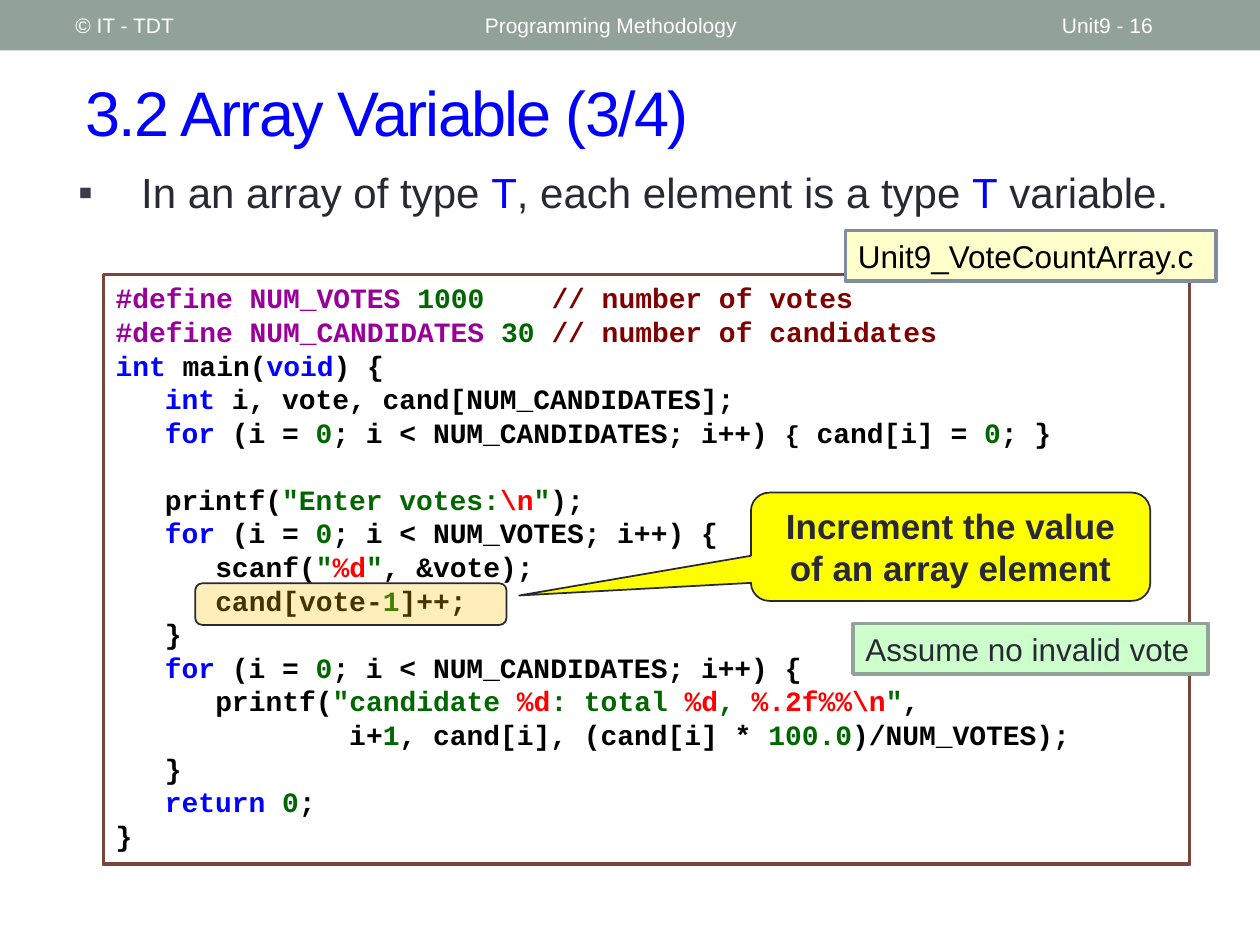
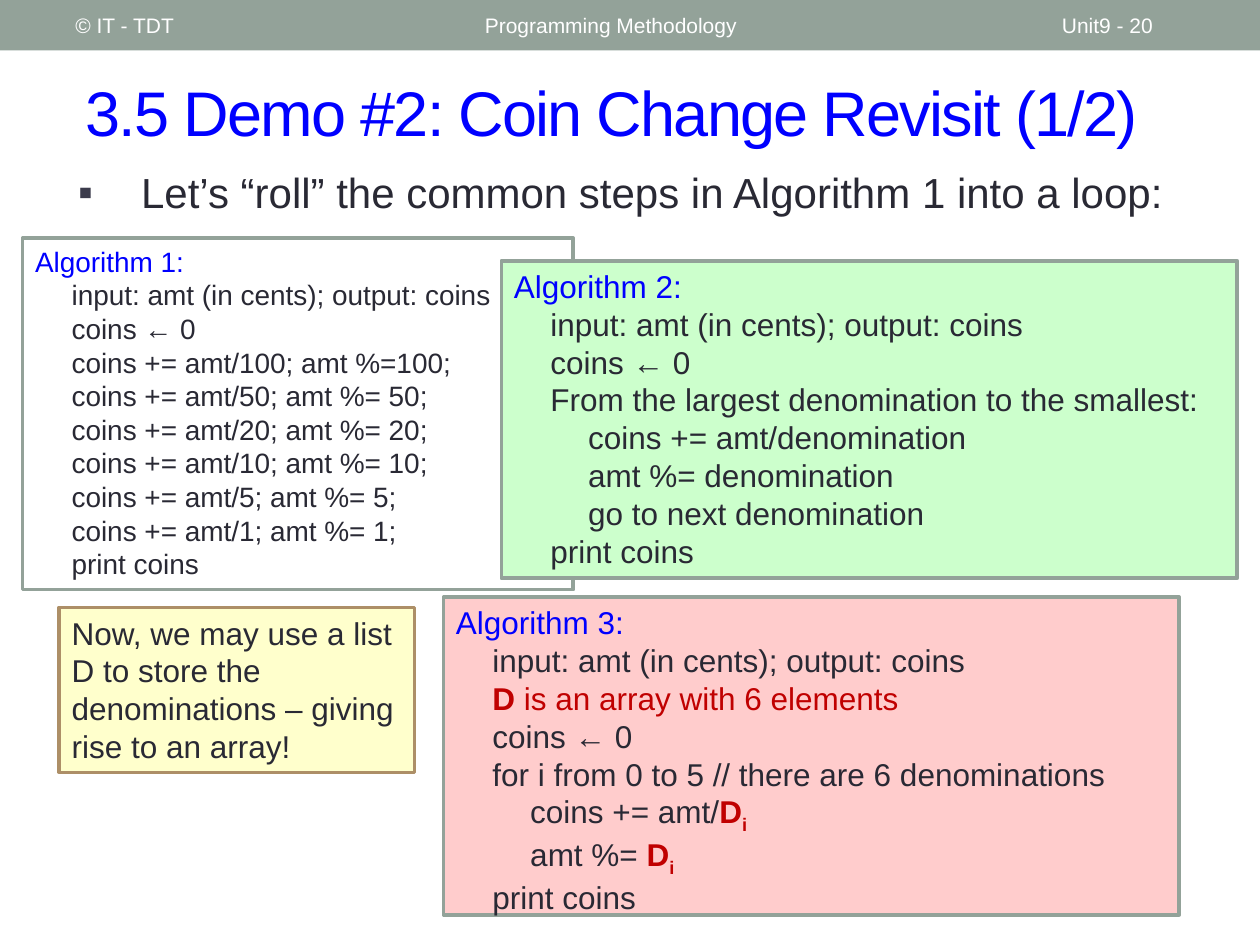
from lxml import etree
from pptx import Presentation
from pptx.dml.color import RGBColor
from pptx.enum.shapes import MSO_SHAPE as Shape
from pptx.enum.text import MSO_ANCHOR as Anchor, MSO_AUTO_SIZE as AutoSize, PP_ALIGN as Align
from pptx.oxml.ns import qn
from pptx.util import Inches, Pt

INK, BLUE, WHITE, BLACK = "292934", "0000FF", "FFFFFF", "000000"
SAGE, YELLOW, GREEN, PINK = "93A299", "FFFFCC", "CCFFCC", "FFCCCC"
NUMBER, ESCAPE, MACRO, COMMENT, ACCENT = "006600", "FF0000", "990099", "800000", "C00000"
CODE_TABS = [0.39, 0.79, 1.18, 1.67]
STEP_TABS = [0.29, 0.59]
CODE_PITCH = 19.2

HEADER = [
    ("© IT - TDT", 0.5, 3.17),
    ("Programming Methodology", 3.75, 4.5),
    ("Unit9 - {}", 8.33, 1.17),
]

ARRAY_POINT = ["In an array of type ", ("T", BLUE), ", each element is a type ", ("T", BLUE), " variable."]
ROLL_POINT = ["Let’s “roll” the common steps in Algorithm 1 into a loop:"]


def loop(limit, *rest):
    return ["\t", ("for", BLUE), " (i = ", ("0", NUMBER), f"; i < {limit}; i++) ", *rest]


VOTE_SETUP = [
    [("#define NUM_VOTES ", MACRO), ("1000    ", NUMBER), ("// number of votes", COMMENT)],
    [("#define NUM_CANDIDATES ", MACRO), ("30 ", NUMBER), ("// number of candidates", COMMENT)],
    [("int", BLUE), " main(", ("void", BLUE), ") {"],
    ["\t", ("int ", BLUE), "i, vote, cand[NUM_CANDIDATES];"],
    loop("NUM_CANDIDATES", ("{", BLACK, {"size": 14}), " cand[i] = ", ("0", NUMBER), "; }"),
]
VOTE_COUNT = [
    ["\tprintf(", ('"Enter votes:', NUMBER), ("\\n", ESCAPE), ('"', NUMBER), ");"],
    loop("NUM_VOTES", "{"),
    ["\t\tscanf(", ('"', NUMBER), ("%d", ESCAPE), ('"', NUMBER), ", &vote);"],
    ["\t\tcand[vote-", ("1", NUMBER), "]++;"],
    ["\t}"],
    loop("NUM_CANDIDATES", "{"),
    ["\t\tprintf(", ('"candidate ', NUMBER), ("%d", ESCAPE), (": total ", NUMBER), ("%d", ESCAPE),
     (", ", NUMBER), ("%.2f%%\\n", ESCAPE), ('"', NUMBER), ","],
    ["\t\t        i+", ("1", NUMBER), ", cand[i], (cand[i] * ", ("100.0", NUMBER), ")/NUM_VOTES);"],
    ["\t}"],
    ["\t", ("return ", BLUE), ("0", NUMBER), ";"],
    ["}"],
]

INPUT_STEP = ["\tinput: amt (in cents); output: coins"]
START_STEP = ["\tcoins ← 0"]
PRINT_STEP = ["\tprint coins"]
ELEMENT = [("D", ACCENT, {"bold": True}), ("i", ACCENT, {"bold": True, "baseline": -25})]

ALGORITHM_1 = [
    [("Algorithm 1:", BLUE)],
    INPUT_STEP,
    START_STEP,
    ["\tcoins += amt/100; amt %=100;"],
    *[[f"\tcoins += amt/{coin}; amt %= {coin};"] for coin in (50, 20, 10, 5, 1)],
    PRINT_STEP,
]
ALGORITHM_2 = [
    [("Algorithm 2:", BLUE)],
    INPUT_STEP,
    START_STEP,
    ["\tFrom the largest denomination to the smallest:"],
    ["\t\tcoins += amt/denomination"],
    ["\t\tamt %= denomination"],
    ["\t\tgo to next denomination"],
    PRINT_STEP,
]
ALGORITHM_3 = [
    [("Algorithm 3:", BLUE)],
    INPUT_STEP,
    ["\t", ("D", ACCENT, {"bold": True}), (" is an array with 6 elements", ACCENT)],
    START_STEP,
    ["\tfor i from 0 to 5 // there are 6 denominations"],
    ["\t\tcoins += amt/", *ELEMENT],
    ["\t\tamt %= ", *ELEMENT],
    PRINT_STEP,
]
LIST_NOTE = [["Now, we may use a list D to store the denominations – giving rise to an array!"]]


def color(value):
    return RGBColor.from_string(value)


def add_element(parent, tag, **attributes):
    element = etree.SubElement(parent, qn(tag))
    for name, value in attributes.items():
        element.set(name, str(value))
    return element


def write_run(paragraph, text, ink, font="Arial", size=18, bold=False, baseline=0, spacing=0):
    run = paragraph.add_run()
    run.text = text
    run.font.name = font
    run.font.size = Pt(size)
    run.font.bold = bold
    run.font.color.rgb = color(ink)
    properties = run.font._element
    if baseline:
        properties.set("baseline", str(baseline * 1000))
    if spacing:
        properties.set("spc", str(spacing * 100))


def write(shape, lines, ink=INK, align=Align.LEFT, anchor=Anchor.TOP, tabs=(), bullet=None,
          gaps=None, **font):
    frame = shape.text_frame
    frame.word_wrap = True
    frame.auto_size = AutoSize.NONE
    frame.vertical_anchor = anchor
    for index, line in enumerate(lines):
        paragraph = frame.paragraphs[0] if index == 0 else frame.add_paragraph()
        properties = paragraph._p.get_or_add_pPr()
        if bullet:
            properties.set("marL", str(Inches(0.5)))
            properties.set("indent", str(Inches(-0.5)))
            add_element(add_element(properties, "a:buClr"), "a:srgbClr", val="3B3B4B")
            add_element(properties, "a:buFont", typeface="Arial")
            add_element(properties, "a:buChar", char=bullet)
        if tabs:
            stops = add_element(properties, "a:tabLst")
            for stop in tabs:
                add_element(stops, "a:tab", pos=Inches(stop), algn="l")
        paragraph.alignment = align
        paragraph.space_before = Pt((gaps or {}).get(index, 0))
        for item in line:
            text, run_ink, extra = (item, ink, {}) if isinstance(item, str) else (*item, {})[:3]
            write_run(paragraph, text, run_ink, **{**font, **extra})


def place(shape, *box):
    shape.left, shape.top, shape.width, shape.height = map(Inches, box)


def add_box(slide, box, fill, line=None, width=2.08, kind=Shape.RECTANGLE):
    shape = slide.shapes.add_shape(kind, *map(Inches, box))
    shape.shadow.inherit = False
    shape.fill.solid()
    shape.fill.fore_color.rgb = color(fill)
    if line:
        shape.line.color.rgb = color(line)
        shape.line.width = Pt(width)
    else:
        shape.line.fill.background()
    return shape


def add_slide(presentation, number, title, point):
    slide = presentation.slides.add_slide(presentation.slide_layouts[1])
    add_box(slide, (0, 0, 10, 0.4), SAGE)
    for text, left, width in HEADER:
        label = slide.shapes.add_textbox(*map(Inches, (left, 0.02, width, 0.36)))
        write(label, [[text.format(number)]], ink=WHITE, size=12, anchor=Anchor.MIDDLE)
    place(slide.shapes.title, 0.58, 0.42, 9.17, 0.92)
    write(slide.shapes.title, [[title]], ink=BLUE, size=36, spacing=-1, anchor=Anchor.MIDDLE)
    body = slide.placeholders[1]
    place(body, 0.52, 1.27, 9.14, 0.57)
    write(body, [point], size=24, bullet="▪")
    return slide


def build_array_slide(presentation):
    slide = add_slide(presentation, 16, "3.2 Array Variable (3/4)", ARRAY_POINT)
    code = add_box(slide, (0.82, 2.18, 8.62, 4.68), WHITE, "79463D")
    write(code, VOTE_SETUP + VOTE_COUNT, ink=BLACK, font="Courier New", size=16, bold=True,
          tabs=CODE_TABS, gaps={len(VOTE_SETUP): CODE_PITCH})
    file_label = add_box(slide, (6.71, 1.83, 2.94, 0.4), YELLOW, "808DA0")
    write(file_label, [["Unit9_VoteCountArray.c"]], ink=BLACK)
    callout = add_box(slide, (5.96, 3.91, 3.17, 0.86), "FFFF00", INK, 1,
                      Shape.ROUNDED_RECTANGULAR_CALLOUT)
    for index, value in enumerate((-1.08, 0.45, 0.17)):
        callout.adjustments[index] = value
    write(callout, [["Increment the value of an array element"]], size=20, bold=True,
          align=Align.CENTER)
    highlight = add_box(slide, (1.55, 4.63, 2.47, 0.33), "FFC000", INK, 1, Shape.ROUNDED_RECTANGLE)
    fill_color = highlight._element.spPr.find(qn("a:solidFill")).find(qn("a:srgbClr"))
    add_element(fill_color, "a:alpha", val=27000)
    assumption = add_box(slide, (6.77, 4.95, 2.82, 0.4), GREEN, SAGE)
    write(assumption, [["Assume no invalid vote"]])


def build_coin_slide(presentation):
    slide = add_slide(presentation, 20, "3.5 Demo #2: Coin Change Revisit (1/2)", ROLL_POINT)
    panels = [
        (ALGORITHM_1, (0.18, 1.89, 4.37, 2.79), WHITE, SAGE, 16, STEP_TABS),
        (ALGORITHM_2, (3.98, 2.07, 5.84, 2.52), GREEN, SAGE, 18, STEP_TABS),
        (LIST_NOTE, (0.47, 4.82, 2.82, 1.31), YELLOW, "AD8F67", 18, ()),
        (ALGORITHM_3, (3.52, 4.74, 5.84, 2.52), PINK, SAGE, 18, STEP_TABS),
    ]
    for lines, box, fill, line, size, tabs in panels:
        write(add_box(slide, box, fill, line), lines, size=size, tabs=tabs)


def main():
    presentation = Presentation()
    presentation.slide_width, presentation.slide_height = Inches(10), Inches(7.5)
    build_array_slide(presentation)
    build_coin_slide(presentation)
    presentation.save("out.pptx")


if __name__ == "__main__":
    main()
